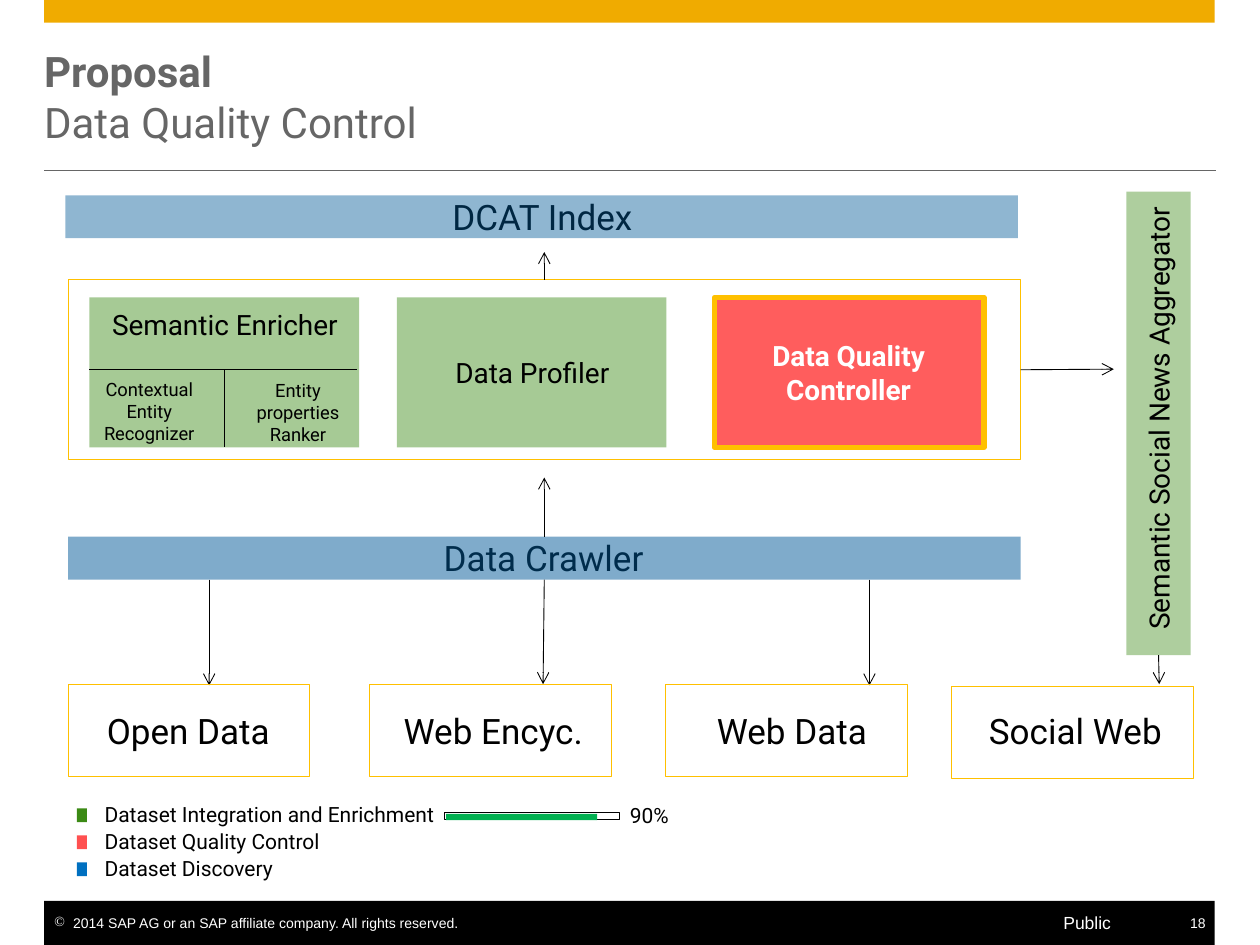
"""Build the Data Quality Control proposal slide on a 100 by 75 grid."""
from lxml import etree
from pptx import Presentation
from pptx import util as u
from pptx.dml.color import RGBColor
from pptx.enum import shapes, text
from pptx.oxml.ns import qn

COLS, ROWS = 100, 75
WIDTH, HEIGHT = u.Inches(10), u.Inches(7.5)
BLACK = RGBColor(0x00, 0x00, 0x00)
WHITE = RGBColor(0xFF, 0xFF, 0xFF)
GREY = RGBColor(0x66, 0x66, 0x66)
GOLD = RGBColor(0xF0, 0xAB, 0x00)
AMBER = RGBColor(0xFF, 0xC0, 0x00)
GREEN = RGBColor(0x3B, 0x8A, 0x15)
BRIGHT_GREEN = RGBColor(0x00, 0xB0, 0x50)
RED = RGBColor(0xFF, 0x50, 0x50)
BLUE = RGBColor(0x00, 0x70, 0xC0)
NAVY = RGBColor(0x00, 0x59, 0x98)
TOP, BOTTOM, RIGHT = 0, 2, 3
LEFT_AL, CENTER, RIGHT_AL = text.PP_ALIGN.LEFT, text.PP_ALIGN.CENTER, text.PP_ALIGN.RIGHT


def x(col):
    """Return the length of a number of grid columns."""
    return round(WIDTH * col / COLS)


def y(row):
    """Return the length of a number of grid rows."""
    return round(HEIGHT * row / ROWS)


def add_box(s, left, top, width, height, fill=None, alpha=100, line=None, weight=0.5):
    """Add a rectangle with optional fill, opacity in percent and outline."""
    sp = s.shapes.add_shape(shapes.MSO_SHAPE.RECTANGLE, x(left), y(top), x(width), y(height))
    sp.shadow.inherit = False
    if fill is None:
        sp.fill.background()
    else:
        sp.fill.solid()
        sp.fill.fore_color.rgb = fill
        if alpha < 100:
            color = sp._element.spPr.find(qn("a:solidFill"))[0]
            etree.SubElement(color, qn("a:alpha")).set("val", str(alpha * 1000))
    if line is None:
        sp.line.fill.background()
    else:
        sp.line.color.rgb = line
        sp.line.width = u.Pt(weight)
    return sp


def add_line(s, start, end, color=BLACK, arrow=False, source=None, site=None):
    """Add a straight line, optionally with an arrowhead and a joined start."""
    cx = s.shapes.add_connector(shapes.MSO_CONNECTOR.STRAIGHT,
                                x(start[0]), y(start[1]), x(end[0]), y(end[1]))
    cx.line.color.rgb = color
    cx.line.width = u.Pt(0.5)
    if arrow:
        etree.SubElement(cx.line._get_or_add_ln(), qn("a:tailEnd")).set("type", "arrow")
    etree.SubElement(cx._element.spPr, qn("a:effectLst"))
    if source is not None:
        cx.begin_connect(source, site)
    return cx


def add_run(p, words, size, color=BLACK, bold=False, font="Roboto"):
    """Add one formatted run to a paragraph."""
    r = p.add_run()
    r.text = words
    r.font.name, r.font.size, r.font.bold = font, u.Pt(size), bold
    r.font.color.rgb = color


def add_frame(s, left, top, width, height, align=LEFT_AL, wrap=True, grow=True):
    """Add an empty text box without margins and return its text frame."""
    tf = s.shapes.add_textbox(x(left), y(top), x(width), y(height)).text_frame
    tf.margin_left = tf.margin_right = tf.margin_top = tf.margin_bottom = 0
    tf.word_wrap = wrap
    if grow:
        tf.auto_size = text.MSO_AUTO_SIZE.SHAPE_TO_FIT_TEXT
    tf.paragraphs[0].alignment = align
    return tf


def add_label(s, place, words, size, align=CENTER, **style):
    """Add a one-run text box and return its text frame."""
    tf = add_frame(s, *place, align=align)
    add_run(tf.paragraphs[0], words, size, **style)
    return tf


def add_header(s):
    """Add the top band, the title and the rule below it."""
    add_box(s, 3.5, 0, 92.9, 1.8, GOLD)
    add_line(s, (3.5, 13.5), (96.5, 13.5), GREY)
    tf = add_frame(s, 3.5, 3.5, 92.9, 8.3, grow=False)
    tf.vertical_anchor = text.MSO_ANCHOR.MIDDLE
    p = tf.paragraphs[0]
    add_run(p, "Proposal", 24, GREY, bold=True)
    p.add_line_break()
    add_run(p, "Data Quality Control", 24, GREY)


def add_footer(s):
    """Add the bottom band with copyright, classification and page number."""
    add_box(s, 3.5, 71.5, 92.9, 3.5, BLACK)
    tf = add_frame(s, 3.5, 72.6, 33.5, 1.3, wrap=False)
    tf.margin_left = x(0.8)
    p = tf.paragraphs[0]
    pPr = p._p.get_or_add_pPr()
    pPr.set("marL", str(x(1.5)))
    pPr.set("indent", str(-x(1.5)))
    color = etree.SubElement(etree.SubElement(pPr, qn("a:buClr")), qn("a:srgbClr"))
    color.set("val", str(WHITE))
    etree.SubElement(pPr, qn("a:buChar")).set("char", "©")
    add_run(p, "2014 SAP AG or an SAP affiliate company. All rights reserved.",
            8, WHITE, font="Arial")
    add_label(s, (84.4, 72.4, 9, 1.7), "Public", 10, LEFT_AL, color=WHITE, font="Arial")
    tf = add_frame(s, 94.3, 72.6, 2.2, 1.3, RIGHT_AL, wrap=False)
    tf.margin_right = x(0.8)
    add_run(tf.paragraphs[0], "18", 8, WHITE, font="Arial")


def add_bar(s, left, top, words, text_left, alpha):
    """Add a wide tinted bar laid over its label."""
    add_label(s, (text_left, top, 19.7, 3.4), words, 20)
    return add_box(s, left, top, 75.6, 3.4, NAVY, alpha)


def add_panel(s):
    """Add the processing panel with its three modules."""
    panel = add_box(s, 5.4, 22.2, 75.6, 14.3, line=AMBER)
    for left in (7.1, 31.5):
        add_box(s, left, 23.6, 21.4, 11.9, GREEN, 45)
    add_box(s, 56.7, 23.6, 21.4, 11.9, RED, 92, AMBER, 3)
    add_label(s, (7.6, 24.4, 20.5, 2.7), "Semantic Enricher", 16)
    add_label(s, (33.5, 28.2, 17.5, 2.7), "Data Profiler", 16)
    add_label(s, (58.6, 26.9, 17.5, 5.4), "Data Quality Controller", 16, color=WHITE, bold=True)
    add_label(s, (7.1, 30, 9.5, 5.3), "Contextual Entity Recognizer", 10.5)
    add_label(s, (19.1, 30.1, 9.1, 5.3), "Entity properties Ranker", 10.5)
    add_line(s, (17.8, 29.3), (17.8, 35.5))
    add_line(s, (7.1, 29.3), (28.3, 29.3))
    add_line(s, (43.2, 22.2), (43.2, 20), arrow=True, source=panel, site=TOP)
    add_line(s, (81, 29.3), (88.4, 29.3), arrow=True, source=panel, site=RIGHT)


def add_crawler(s):
    """Add the crawler bar and the arrows that leave it."""
    bar = add_bar(s, 5.4, 42.6, "Data Crawler", 33.3, 50)
    add_line(s, (43.2, 46), (43.1, 54.3), arrow=True, source=bar, site=BOTTOM)
    add_line(s, (43.2, 42.6), (43.2, 37.9), arrow=True, source=bar, site=TOP)
    for col in (16.6, 69):
        add_line(s, (col, 46), (col, 54.4), arrow=True)


def add_aggregator(s):
    """Add the upright aggregator bar and its arrow."""
    bar = add_box(s, 89.4, 15.2, 5.1, 36.8, GREEN, 41)
    tf = add_label(s, (90.6, 16.4, 2.7, 33.6), "Semantic Social News Aggregator", 16)
    tf.vertical_anchor = text.MSO_ANCHOR.MIDDLE
    tf._txBody.bodyPr.set("vert", "vert270")
    add_line(s, (92, 52), (92, 54.3), arrow=True, source=bar, site=BOTTOM)


def add_sources(s):
    """Add the row of data sources."""
    for left, top, text_left, text_width, words in (
            (5.4, 54.3, 7.6, 14.7, "Open Data"), (29.3, 54.3, 29.3, 19.7, "Web Encyc."),
            (52.8, 54.3, 53, 19.7, "Web Data"), (75.5, 54.5, 75.5, 19.7, "Social Web")):
        add_box(s, left, top, 19.2, 7.3, line=AMBER)
        add_label(s, (text_left, 56.3, text_width, 3.4), words, 20)


def add_legend(s):
    """Add the colour key and the progress bar."""
    entries = (("Dataset Integration and Enrichment", GREEN),
               ("Dataset Quality Control", RED), ("Dataset Discovery", BLUE))
    for i, (words, color) in enumerate(entries):
        top = 63.6 + 2.15 * i
        add_box(s, 6.1, top + 0.55, 0.8, 1.1, color)
        add_label(s, (8.3, top, 26.5, 2), words, 12, LEFT_AL)
    add_box(s, 35.3, 64.5, 13.9, 0.5, WHITE, line=BLACK)
    add_box(s, 35.4, 64.6, 12, 0.5, BRIGHT_GREEN)
    add_label(s, (50, 63.7, 10.4, 2), "90%", 12, LEFT_AL)


def main():
    """Build and save the slide."""
    prs = Presentation()
    prs.slide_width, prs.slide_height = WIDTH, HEIGHT
    s = prs.slides.add_slide(prs.slide_layouts[6])
    add_header(s)
    add_footer(s)
    add_bar(s, 5.2, 15.5, "DCAT Index", 33.2, 44)
    add_panel(s)
    add_crawler(s)
    add_aggregator(s)
    add_sources(s)
    add_legend(s)
    prs.save("out.pptx")


if __name__ == "__main__":
    main()
